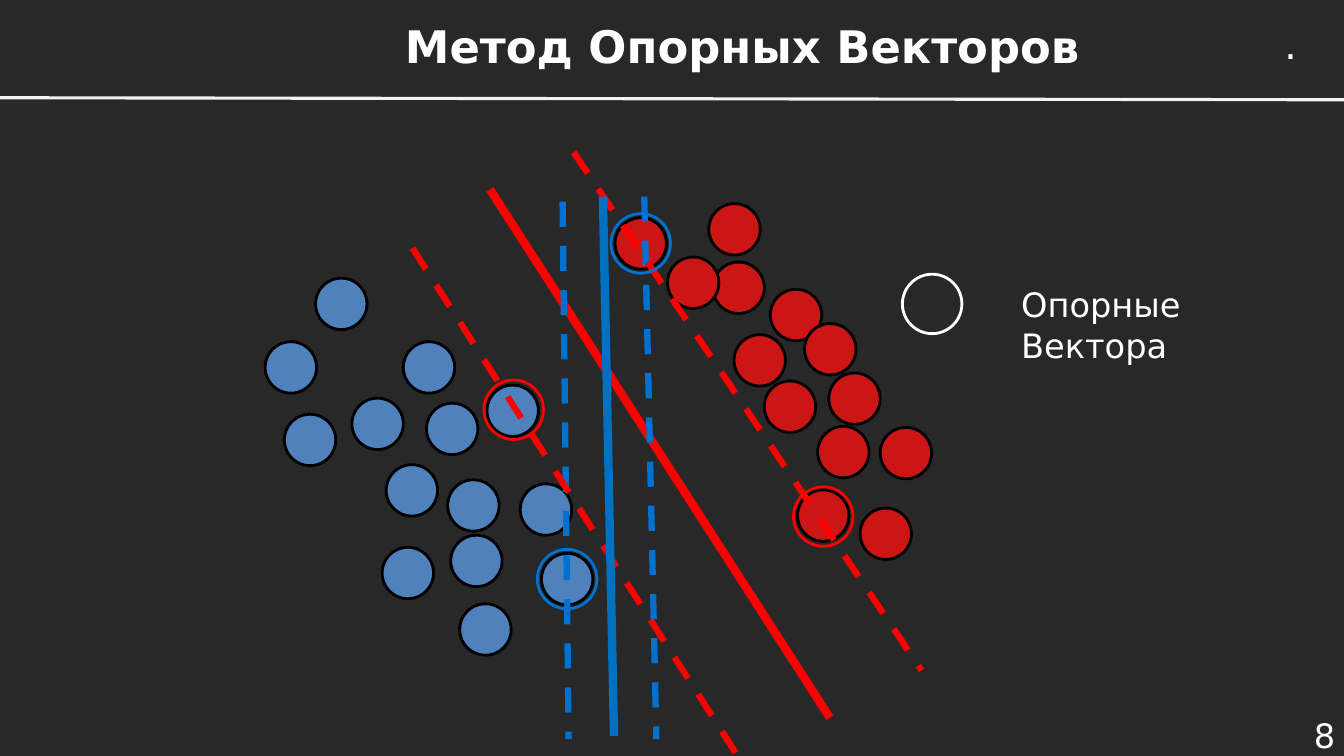
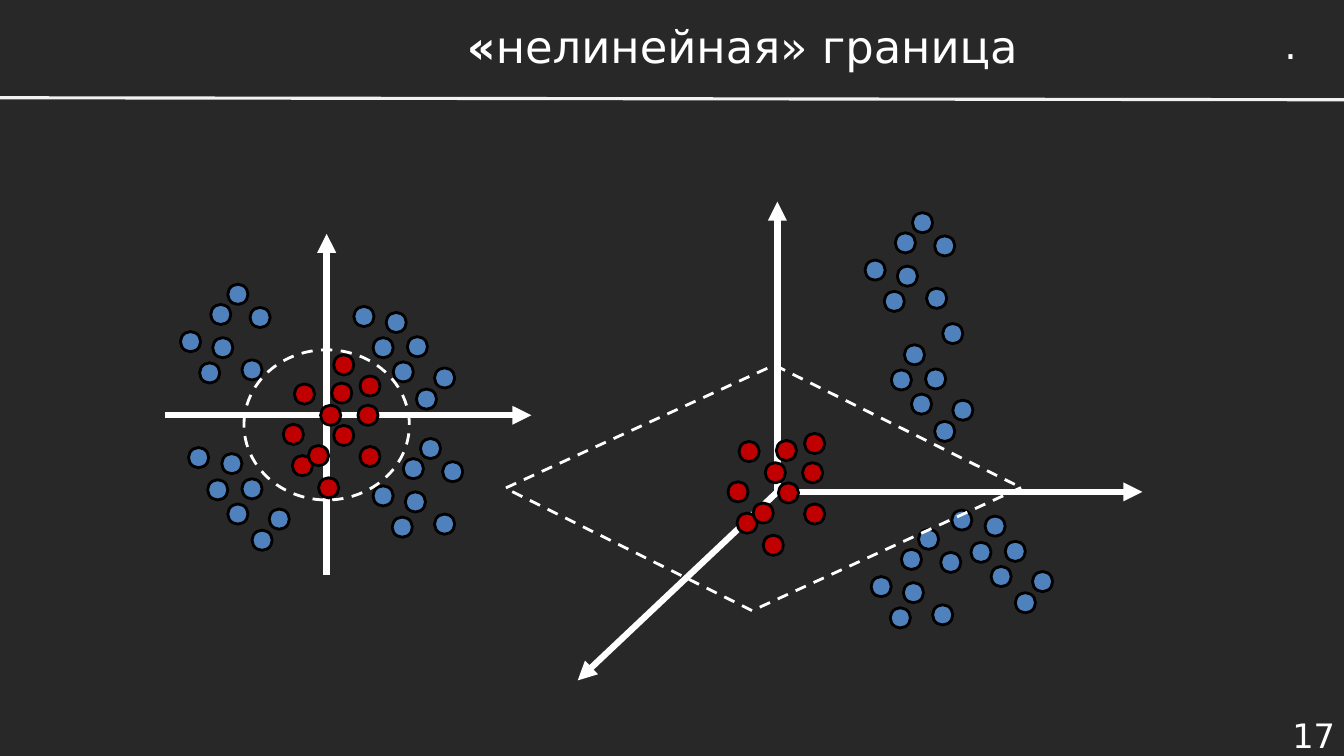
import pptx
import pptx.util
import pptx.dml.color
import pptx.enum.dml
import pptx.enum.shapes
import pptx.enum.text
import pptx.oxml
import lxml.etree
from pptx.oxml.ns import qn

Inches, Pt = pptx.util.Inches, pptx.util.Pt
hue = pptx.dml.color.RGBColor.from_string
Kind = pptx.enum.shapes.MSO_SHAPE
Align = pptx.enum.text.PP_ALIGN
Anchor = pptx.enum.text.MSO_ANCHOR
DASH = pptx.enum.dml.MSO_LINE.DASH

FONT = "DejaVu Sans"
BACK, WHITE, RULE, BLACK = "272827", "FFFFFF", "F2F2F2", "000000"
BLUE, CRIMSON, DARK = "4F81BD", "CC1616", "C00000"
RED, AZURE, COBALT = "FF0000", "0071CE", "0070C0"


def shape(slide, kind, box, edge, fill=None, dash=None):
    item = slide.shapes.add_shape(kind, *map(Inches, box))
    item.shadow.inherit = False
    if fill:
        item.fill.solid()
        item.fill.fore_color.rgb = hue(fill)
    else:
        item.fill.background()
    item.line.color.rgb = hue(edge)
    item.line.width = Pt(2)
    item.line.dash_style = dash
    return item


def line(slide, ends, color, width, dash=None, arrow=False):
    link = slide.shapes.add_connector(
        pptx.enum.shapes.MSO_CONNECTOR.STRAIGHT, *map(Inches, ends))
    link.line.color.rgb = hue(color)
    link.line.width = Pt(width)
    link.line.dash_style = dash
    props = link.element.spPr
    if arrow:
        lxml.etree.SubElement(props.get_or_add_ln(), qn("a:tailEnd"), type="triangle")
    lxml.etree.SubElement(props, qn("a:effectLst"))


deck = pptx.Presentation()
deck.slide_width, deck.slide_height = Inches(13.33), Inches(7.5)
ground = deck.slide_master.background.fill
ground.solid()
ground.fore_color.rgb = hue(BACK)

# Shared frame: title, rule, dot mark and page number
heads = [
    ("8", [("Метод Опорных Векторов", True)], [("Опорные Вектора", (10.03, 2.77, 3, 0.87))]),
    ("17", [("«", True), ("нелинейная» граница", False)], []),
]
slides = []
for page, runs, labels in heads:
    slide = deck.slides.add_slide(deck.slide_layouts[5])
    slides.append(slide)
    title = slide.shapes.title
    title.left, title.top = Inches(3.44), Inches(0.19)
    title.width, title.height = Inches(7.85), Inches(0.53)
    frame = title.text_frame
    frame.auto_size = pptx.enum.text.MSO_AUTO_SIZE.NONE
    frame.vertical_anchor = Anchor.MIDDLE
    para = frame.paragraphs[0]
    para.alignment = Align.CENTER
    para.font.name, para.font.size = FONT, Pt(32)
    para.font.color.rgb = hue(WHITE)
    for text, bold in runs:
        run = para.add_run()
        run.text = text
        run.font.name, run.font.size, run.font.bold = FONT, Pt(32), bold
        run.font.color.rgb = hue(WHITE)

    line(slide, (0, 0.97, 13.33, 0.99), RULE, 2.25)
    notes = [
        (page, (12.29, 7.08, 1.05, 0.42), 24, Align.RIGHT, Anchor.MIDDLE),
        (".", (12.64, 0.15, 0.34, 0.57), 28, Align.LEFT, Anchor.TOP),
    ]
    notes += [(text, box, 24, Align.LEFT, Anchor.TOP) for text, box in labels]
    for text, box, size, align, anchor in notes:
        frame = slide.shapes.add_textbox(*map(Inches, box)).text_frame
        frame.word_wrap = True
        frame.vertical_anchor = anchor
        para = frame.paragraphs[0]
        para.text = text
        para.alignment = align
        para.font.name, para.font.size = FONT, Pt(size)
        para.font.color.rgb = hue(WHITE)

# Slide 1: two classes, two candidate borders with their margins
slide = slides[0]
DOT, RING = 0.51, 0.59
blues = [
    (3.83, 4.61), (4.23, 4), (5.37, 5.49), (4.44, 4.76), (5.16, 4.8),
    (4.47, 5.31), (4, 3.39), (4.83, 3.82), (2.63, 3.39), (3.13, 2.76),
    (2.82, 4.11), (4.56, 5.99), (3.79, 5.43), (3.49, 3.95),
]
reds = [
    (7.03, 2.02), (7.07, 2.6), (7.64, 2.87), (8.22, 3.7), (8.73, 4.24),
    (8.53, 5.04), (7.58, 3.78), (7.91, 4.86), (8.11, 4.23), (7.28, 3.32),
    (6.1, 2.16), (6.62, 2.55), (7.98, 3.21),
]
for spots, fill in [(blues, BLUE), (reds, CRIMSON)]:
    for x, y in spots:
        shape(slide, Kind.OVAL, (x, y, DOT, DOT), BLACK, fill)

borders = [
    ((4.86, 1.88, 8.23, 7.12), RED, 6, None),
    ((5.58, 2, 5.64, 7.33), AZURE, 4.5, DASH),
    ((4.09, 2.46, 7.31, 7.49), RED, 4.5, DASH),
    ((6.39, 1.95, 6.51, 7.33), AZURE, 4.5, DASH),
    ((5.69, 1.51, 9.14, 6.65), RED, 4.5, DASH),
    ((5.98, 1.95, 6.09, 7.3), COBALT, 6, None),
]
for ends, color, width, dash in borders:
    line(slide, ends, color, width, dash)

rings = [
    (8.95, 2.72, WHITE), (6.06, 2.12, AZURE), (5.33, 5.45, AZURE),
    (4.8, 3.77, RED), (7.87, 4.83, RED),
]
for x, y, edge in rings:
    shape(slide, Kind.OVAL, (x, y, RING, RING), edge)

# Slide 2: the same clusters on a plane and lifted into space
slide = slides[1]
DOT = 0.2
fan = [(2.4, 3.57), (2.11, 3.35), (2.48, 3.05), (1.79, 3.29),
       (2.09, 3.02), (2.26, 2.82), (1.98, 3.6)]
east = [(3.9, 3.59), (3.83, 3.1), (4.04, 3.34), (4.13, 3.86),
        (4.31, 3.65), (3.7, 3.35)]
south = [(2.26, 5), (2.2, 4.5), (2.4, 4.75), (1.87, 4.44),
         (2.5, 5.26), (2.67, 5.05), (2.06, 4.76)]
core = [(3.29, 3.8), (3.31, 4.22), (2.92, 3.81), (2.9, 4.52), (2.81, 4.21),
        (3.57, 3.73), (3.55, 4.02), (3.57, 4.43), (3.18, 4.02),
        (3.16, 4.74), (3.06, 4.42)]

# Each cluster: points, colour, shift right, shift down
plane = [
    (east, BLUE, 0, 0), ([(3.51, 3.04)], BLUE, 0, 0),
    ([(3.31, 3.52)], DARK, 0, 0), (core, DARK, 0, 0),
    (south, BLUE, 0, 0), (fan, BLUE, 1.91, 1.53), (fan, BLUE, 0, 0),
]
space = [
    (east, BLUE, 5.14, 0.32), ([(9.35, 3.21)], BLUE, 0, 0),
    (core, DARK, 4.41, 0.57), (south, BLUE, 7.57, 0.62),
    (fan, BLUE, 6.85, 2.43), (fan, BLUE, 6.79, -0.71),
]
flat = [(3.24, 5.7, 3.24, 2.32), (1.64, 4.12, 5.27, 4.12)]
solid = [(7.71, 4.89, 7.71, 2), (7.71, 4.88, 11.33, 4.88), (7.71, 4.88, 5.73, 6.75)]
for axes, clouds in [(flat, plane), (solid, space)]:
    for ends in axes:
        line(slide, ends, WHITE, 4.5, arrow=True)
    for spots, fill, right, down in clouds:
        for x, y in spots:
            shape(slide, Kind.OVAL, (x + right, y + down, DOT, DOT), BLACK, fill)

shape(slide, Kind.OVAL, (2.42, 3.47, 1.64, 1.49), WHITE, dash=DASH)
sheet = shape(slide, Kind.PARALLELOGRAM, (5.28, 3.7, 4.58, 2.28), WHITE, dash=DASH)
sheet.adjustments[0] = 0.81
sheet.rotation = 206.4

deck.save("out.pptx")
